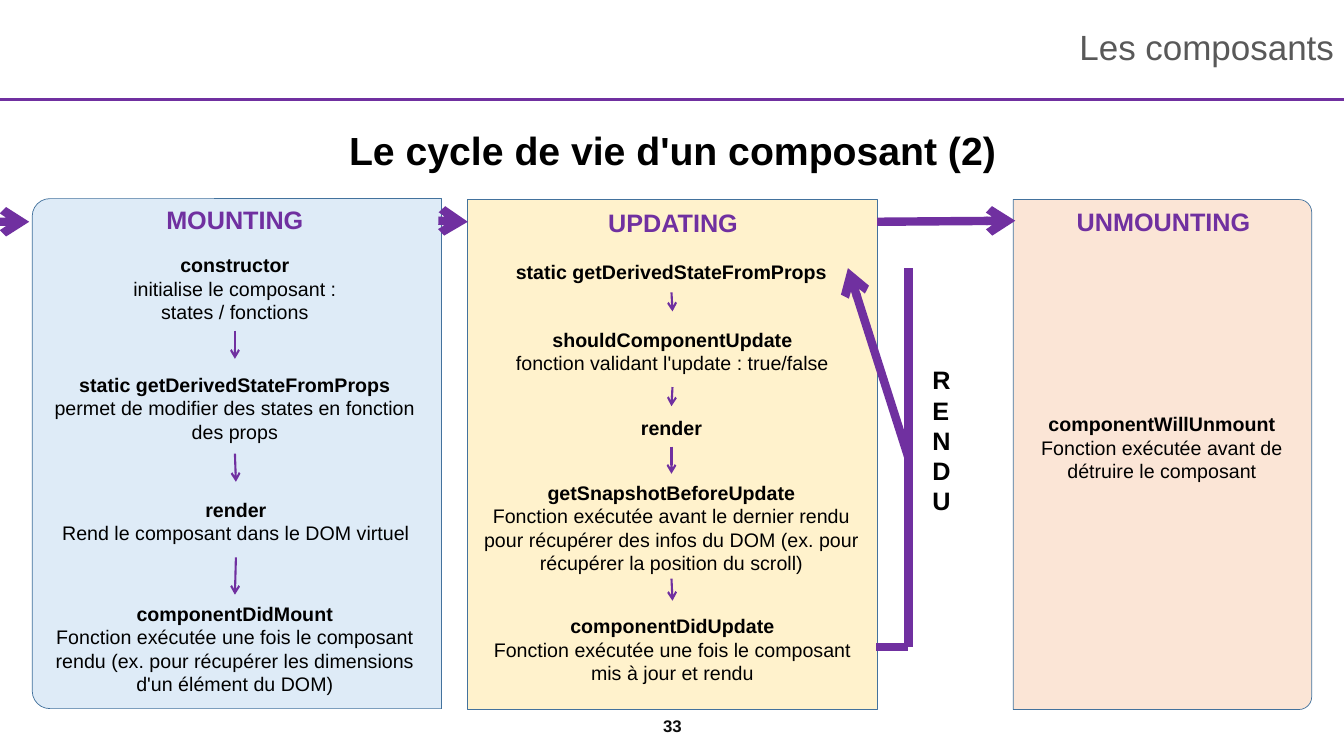
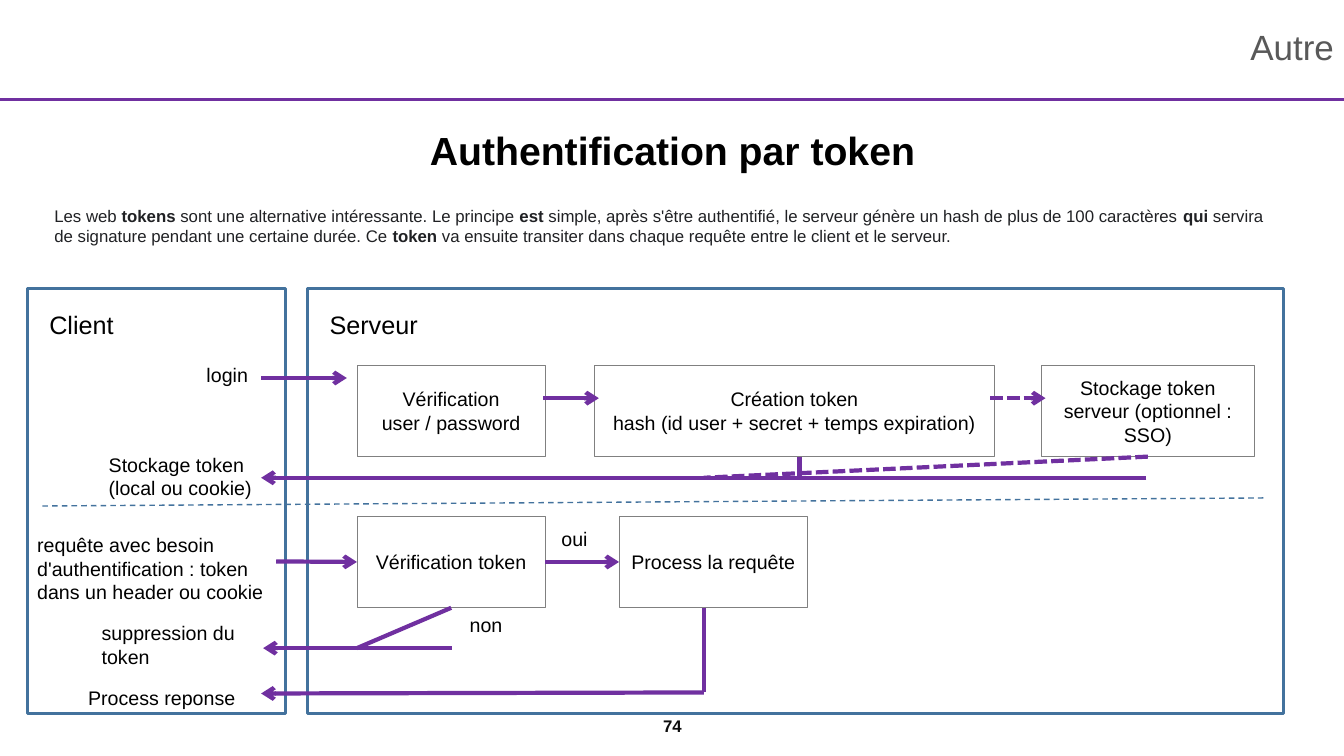
from dataclasses import dataclass
from itertools import pairwise
from typing import NamedTuple, Optional

from lxml.etree import SubElement
from pptx import Presentation
from pptx.dml.color import RGBColor
from pptx.enum.dml import MSO_LINE
from pptx.enum.shapes import MSO_CONNECTOR, MSO_SHAPE
from pptx.enum.text import MSO_ANCHOR as ANCHOR, PP_ALIGN as ALIGN
from pptx.oxml.ns import qn
from pptx.util import Emu, Pt

EMU_PER_PX = 9144
TOP, LEFT, BOTTOM, RIGHT = range(4)


@dataclass(frozen=True)
class Theme:
    font: str = "Arial"
    black: str = "000000"
    purple: str = "7030A0"
    blue: str = "43729D"
    gray: str = "808080"
    title: str = "595959"
    footer: str = "0D0D0D"
    prose: str = "202124"
    mounting: str = "DEEBF7"
    updating: str = "FFF2CC"
    unmounting: str = "FBE5D6"
    title_size: int = 25
    subtitle_size: int = 28
    heading_size: int = 18
    body_size: int = 14
    small_size: int = 12


THEME = Theme()


class Box(NamedTuple):
    x: int
    y: int
    w: int
    h: int


class Run(NamedTuple):
    text: str
    bold: bool = False


@dataclass(frozen=True)
class Style:
    size: int = THEME.body_size
    color: str = THEME.black
    align: ALIGN = ALIGN.LEFT
    anchor: ANCHOR = ANCHOR.TOP
    inset: bool = True
    first_spacing: Optional[float] = None


TITLE = Style(THEME.title_size, THEME.title, ALIGN.RIGHT, ANCHOR.MIDDLE, False, 0.9)
SUBTITLE = Style(THEME.subtitle_size, THEME.black, ALIGN.CENTER, ANCHOR.MIDDLE, False, 0.9)
FOOTER = Style(THEME.small_size, THEME.footer, ALIGN.CENTER, ANCHOR.MIDDLE)
PHASE = Style(THEME.heading_size, THEME.purple, ALIGN.CENTER, ANCHOR.MIDDLE)
STEP = Style(align=ALIGN.CENTER, anchor=ANCHOR.MIDDLE, first_spacing=1.14)
PROSE = Style(THEME.small_size, THEME.prose)
HEADING = Style(THEME.heading_size)
LABEL = Style()
MIDDLE_LABEL = Style(anchor=ANCHOR.MIDDLE)
CENTERED = Style(align=ALIGN.CENTER, anchor=ANCHOR.MIDDLE)


class Step(NamedTuple):
    box: Box
    name: str
    details: tuple[str, ...] = ()


@dataclass(frozen=True)
class Column:
    name: str
    box: Box
    header: Box
    fill: str
    rotation: int
    rounding: float
    steps: tuple[Step, ...]


class Line(NamedTuple):
    x1: int
    y1: int
    x2: int
    y2: int
    arrow: bool = True
    dash: Optional[MSO_LINE] = None


class Label(NamedTuple):
    box: Box
    text: str
    style: Style = LABEL


COLUMNS = (
    Column("MOUNTING", Box(32, 197, 406, 506), Box(31, 194, 404, 48), THEME.mounting, 270, 0.043, (
        Step(Box(31, 241, 404, 87), "constructor",
             ("initialise le composant :", "states / fonctions")),
        Step(Box(31, 356, 404, 94), "static getDerivedStateFromProps",
             ("permet de modifier des states en fonction des props",)),
        Step(Box(31, 478, 406, 75), "render", ("Rend le composant dans le DOM virtuel",)),
        Step(Box(31, 590, 404, 104), "componentDidMount",
             ("Fonction exécutée une fois le composant rendu (ex. pour récupérer "
              "les dimensions d'un élément du DOM)",)),
    )),
    Column("UPDATING", Box(464, 198, 406, 506), Box(465, 198, 405, 45), THEME.updating, 270, 0, (
        Step(Box(464, 245, 404, 45), "static getDerivedStateFromProps"),
        Step(Box(464, 309, 406, 75), "shouldComponentUpdate",
             ("fonction validant l'update : true/false",)),
        Step(Box(464, 403, 404, 40), "render"),
        Step(Box(464, 470, 404, 104), "getSnapshotBeforeUpdate",
             ("Fonction exécutée avant le dernier rendu pour récupérer des infos "
              "du DOM (ex. pour récupérer la position du scroll)",)),
        Step(Box(465, 596, 404, 93), "componentDidUpdate",
             ("Fonction exécutée une fois le composant mis à jour et rendu",)),
    )),
    Column("UNMOUNTING", Box(1005, 198, 296, 506), Box(1007, 197, 294, 45),
           THEME.unmounting, 90, 0.043, (
        Step(Box(1006, 396, 293, 93), "componentWillUnmount",
             ("Fonction exécutée avant de détruire le composant",)),
    )),
)

PHASE_LINES = (
    Line(436, 219, 464, 220),
    Line(870, 220, 1007, 219),
    Line(901, 454, 841, 266),
    Line(1, 220, 29, 220),
    Line(869, 642, 901, 642, False),
    Line(901, 266, 901, 642, False),
)

INTRO = (
    Run("Les web "), Run("tokens", True),
    Run(" sont une alternative intéressante. Le principe "), Run("est", True),
    Run(" simple, après s'être authentifié, le serveur génère un hash de plus "
        "de 100 caractères "), Run("qui", True),
    Run(" servira de signature pendant une certaine durée. Ce "), Run("token", True),
    Run(" va ensuite transiter dans chaque requête entre le client et le serveur."),
)

ZONES = (Box(27, 286, 256, 422), Box(305, 286, 968, 422))

LABELS = (
    Label(Box(39, 302, 109, 40), "Client", HEADING),
    Label(Box(317, 302, 128, 40), "Serveur", HEADING),
    Label(Box(195, 355, 80, 40), "login"),
    Label(Box(98, 427, 163, 91), "Stockage token (local ou cookie)", MIDDLE_LABEL),
    Label(Box(27, 524, 255, 82),
          "requête avec besoin d'authentification : token dans un header ou cookie"),
    Label(Box(456, 603, 80, 40), "non"),
    Label(Box(91, 605, 170, 69), "suppression du token", MIDDLE_LABEL),
    Label(Box(547, 518, 80, 40), "oui"),
    Label(Box(67, 658, 187, 69), "Process reponse", CENTERED),
)

TOKEN_LINES = (
    Line(259, 375, 344, 375),
    Line(1137, 474, 259, 474),
    Line(539, 395, 594, 395),
    Line(982, 395, 1037, 395, True, MSO_LINE.SQUARE_DOT),
    Line(793, 453, 793, 474, False),
    Line(448, 643, 261, 643),
    Line(698, 687, 259, 688),
    Line(698, 603, 698, 687, False),
)


def px(n: float) -> Emu:
    return Emu(round(n * EMU_PER_PX))


def rgb(color: str) -> RGBColor:
    return RGBColor.from_string(color)


def write(s, paragraphs, style: Style) -> None:
    tf = s.text_frame
    tf.word_wrap = True
    tf.vertical_anchor = style.anchor
    tf.margin_left = tf.margin_right = px(10 if style.inset else 0)
    tf.margin_top = tf.margin_bottom = px(5 if style.inset else 0)
    for i, runs in enumerate(paragraphs):
        p = tf.add_paragraph() if i else tf.paragraphs[0]
        p.alignment = style.align
        if not i and style.first_spacing:
            p.line_spacing = style.first_spacing
        for run in runs:
            for j, part in enumerate(run.text.split("\n")):
                if j:
                    p.add_line_break()
                r = p.add_run()
                r.text = part
                r.font.name = THEME.font
                r.font.size = Pt(style.size)
                r.font.bold = run.bold
                r.font.color.rgb = rgb(style.color)


def add_text(slide, box: Box, style: Style, *paragraphs):
    s = slide.shapes.add_textbox(*map(px, box))
    write(s, paragraphs, style)
    return s


def add_box(slide, box: Box, line: str, width: float, fill: Optional[str] = None,
            kind=MSO_SHAPE.RECTANGLE):
    s = slide.shapes.add_shape(kind, *map(px, box))
    s.shadow.inherit = False
    if fill:
        s.fill.solid()
        s.fill.fore_color.rgb = rgb(fill)
    else:
        s.fill.background()
    s.line.color.rgb = rgb(line)
    s.line.width = Pt(width)
    return s


def add_line(slide, line: Line, width: float, color: str = THEME.purple):
    s = slide.shapes.add_connector(MSO_CONNECTOR.STRAIGHT, *map(px, line[:4]))
    s.line.color.rgb = rgb(color)
    s.line.width = Pt(width)
    if line.dash:
        s.line.dash_style = line.dash
    if line.arrow:
        SubElement(s.get_or_add_ln(), qn("a:tailEnd"), type="arrow")
    SubElement(s._element.spPr, qn("a:effectLst"))
    return s


def join(slide, start, start_side: int, end, end_side: int, width: float) -> None:
    s = add_line(slide, Line(0, 0, 0, 0), width)
    s.begin_connect(start, start_side)
    s.end_connect(end, end_side)


def add_page(prs, title: str, subtitle: str, number: int):
    slide = prs.slides.add_slide(prs.slide_layouts[6])
    add_text(slide, Box(0, 0, 1323, 98), TITLE, [Run(title)])
    add_text(slide, Box(167, 99, 1000, 106), SUBTITLE, [Run(subtitle, True)])
    add_line(slide, Line(0, 99, 1333, 99, False), 0)
    add_text(slide, Box(517, 700, 300, 40), FOOTER, [Run(str(number), True)])
    return slide


def add_column(slide, col: Column) -> None:
    x, y, w, h = col.box
    upright = Box(x + (w - h) // 2, y + (h - w) // 2, h, w)
    s = add_box(slide, upright, THEME.blue, 0.5, col.fill, MSO_SHAPE.ROUND_2_SAME_RECTANGLE)
    s.adjustments[0] = col.rounding
    s.adjustments[1] = 0
    s.rotation = col.rotation
    add_text(slide, col.header, PHASE, [Run(col.name, True)])
    steps = [add_text(slide, step.box, STEP, [Run(step.name, True)],
                      *([Run(detail)] for detail in step.details)) for step in col.steps]
    for upper, lower in pairwise(steps):
        join(slide, upper, BOTTOM, lower, TOP, 1.5)


def add_task(slide, box: Box, text: str):
    s = add_box(slide, box, THEME.gray, 0.5)
    write(s, [[Run(text)]], CENTERED)
    return s


def build_lifecycle(prs) -> None:
    slide = add_page(prs, "Les composants", "Le cycle de vie d'un composant (2)", 33)
    for col in COLUMNS:
        add_column(slide, col)
    for line in PHASE_LINES:
        add_line(slide, line, 6)
    add_text(slide, Box(915, 357, 39, 170), HEADING, [Run("RENDU", True)])


def build_token(prs) -> None:
    slide = add_page(prs, "Autre", "Authentification par token", 74)
    add_text(slide, Box(44, 199, 1238, 97), PROSE, INTRO)
    for zone in ZONES:
        add_box(slide, zone, THEME.blue, 2)
    add_task(slide, Box(354, 362, 187, 91), "Vérification\nuser / password")
    add_task(slide, Box(590, 362, 396, 91),
             "Création token\nhash (id user + secret + temps expiration)")
    storage = add_task(slide, Box(1033, 362, 211, 91), "Stockage token serveur (optionnel : SSO)")
    check = add_task(slide, Box(354, 512, 187, 91), "Vérification token")
    process = add_task(slide, Box(614, 512, 187, 91), "Process la requête")
    for label in LABELS:
        add_text(slide, label.box, label.style, [Run(label.text)])
    for line in TOKEN_LINES:
        add_line(slide, line, 3)
    add_line(slide, Line(1138, 453, 698, 474, False, MSO_LINE.SQUARE_DOT), 3).begin_connect(storage, BOTTOM)
    add_line(slide, Line(448, 603, 354, 643, False), 3).begin_connect(check, BOTTOM)
    add_line(slide, Line(274, 557, 358, 557), 3).end_connect(check, LEFT)
    join(slide, check, RIGHT, process, LEFT, 3)
    add_line(slide, Line(42, 502, 1254, 494, False, MSO_LINE.DASH), 1, THEME.blue)


def main() -> None:
    prs = Presentation()
    prs.slide_width, prs.slide_height = px(1333), px(750)
    build_lifecycle(prs)
    build_token(prs)
    prs.save("out.pptx")


if __name__ == "__main__":
    main()
